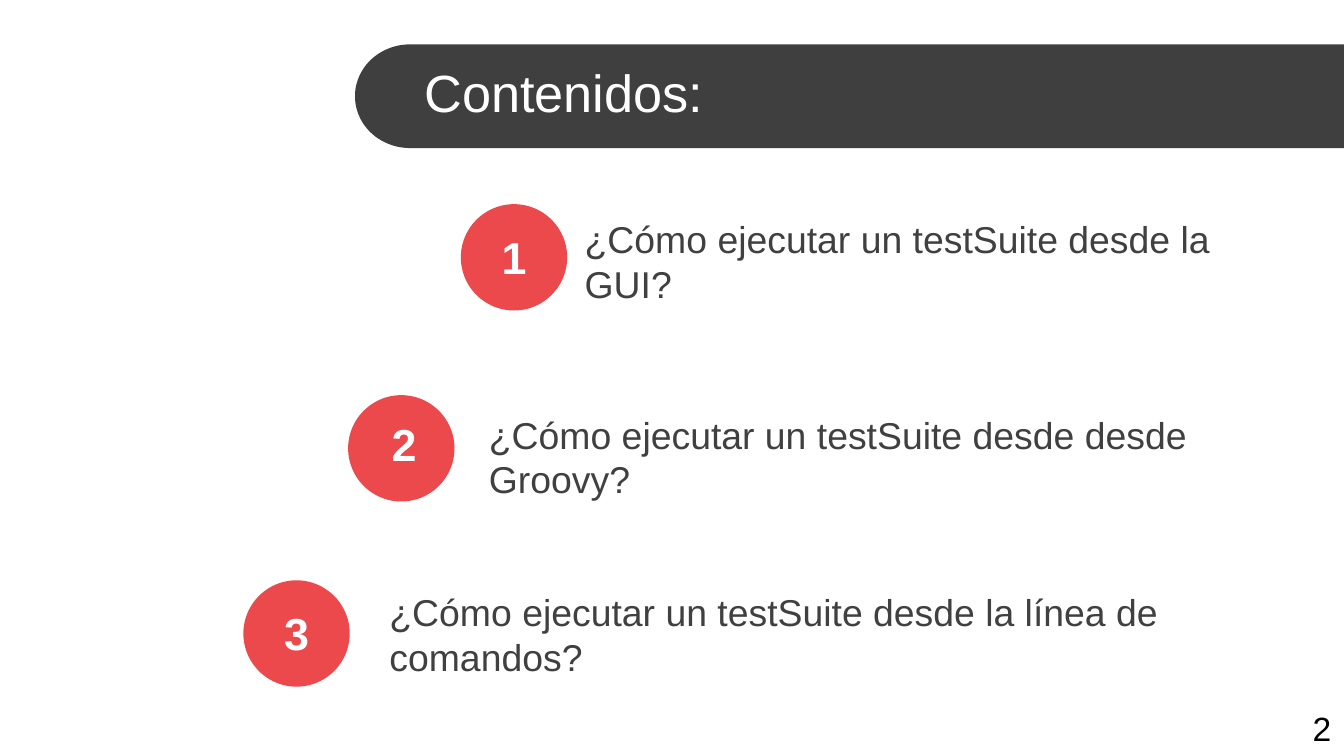
import math

from pptx import Presentation
from pptx.dml.color import RGBColor
from pptx.enum.shapes import MSO_SHAPE
from pptx.enum.text import MSO_ANCHOR, MSO_AUTO_SIZE, PP_ALIGN
from pptx.util import Cm, Pt

OVAL = MSO_SHAPE.OVAL
MIDDLE, TOP = MSO_ANCHOR.MIDDLE, MSO_ANCHOR.TOP
LEFT, CENTER = PP_ALIGN.LEFT, PP_ALIGN.CENTER
NO_AUTOFIT = MSO_AUTO_SIZE.NONE

CHARCOAL = RGBColor(0x3F, 0x3F, 0x3F)
GREY = RGBColor(0x40, 0x40, 0x40)
RED = RGBColor(0xEB, 0x49, 0x4B)
WHITE = RGBColor(0xFF, 0xFF, 0xFF)
BLACK = RGBColor(0, 0, 0)

FONT = "Arial"
SLIDE_W, SLIDE_H = 25.4, 14.29
BANNER_LEFT, BANNER_TOP, BANNER_H, CAP_W = 6.71, 0.84, 1.96, 1.04
CIRCLE = 2.01
DIGIT_H = 1.27
ARC_STEPS = 48

HEADING = "Contenidos:"
PAGE = "2"
TOPICS = [
    ("¿Cómo ejecutar un testSuite desde la GUI?",
     (8.71, 3.86), (8.71, 4.22), (10.8, 4.37, 14.12, 1.12)),
    ("¿Cómo ejecutar un testSuite desde desde Groovy?",
     (6.58, 7.47), (6.63, 7.75), (8.99, 7.65, 16, 1.96)),
    ("¿Cómo ejecutar un testSuite desde la línea de comandos?",
     (4.6, 10.97), (4.6, 11.33), (7.11, 11, 17.81, 1.96)),
]


def write(holder, text, size, color, bold=False, align=LEFT, anchor=MIDDLE, wrap=True):
    frame = holder.text_frame
    frame.text = text
    frame.word_wrap = wrap
    frame.auto_size = NO_AUTOFIT
    frame.vertical_anchor = anchor
    paragraph = frame.paragraphs[0]
    paragraph.alignment = align
    font = paragraph.runs[0].font
    font.name, font.size, font.bold = FONT, Pt(size), bold
    font.color.rgb = color


def paint(shape, color):
    shape.shadow.inherit = False
    shape.fill.solid()
    shape.fill.fore_color.rgb = color
    shape.line.fill.background()


def add_banner(shapes):
    radius = BANNER_H / 2
    angles = [math.pi * (0.5 + step / ARC_STEPS) for step in range(ARC_STEPS + 1)]
    cap = [(Cm(BANNER_LEFT + CAP_W * (1 + math.cos(a))),
            Cm(BANNER_TOP + radius * (1 + math.sin(a)))) for a in angles]
    right, bottom = Cm(SLIDE_W), Cm(BANNER_TOP + BANNER_H)
    outline = shapes.build_freeform(right, bottom)
    outline.add_line_segments(cap + [(right, Cm(BANNER_TOP))], close=True)
    banner = outline.convert_to_shape()
    paint(banner, CHARCOAL)
    return banner


def main():
    deck = Presentation()
    deck.slide_width, deck.slide_height = Cm(SLIDE_W), Cm(SLIDE_H)
    slide = deck.slides.add_slide(deck.slide_layouts[5])
    shapes = slide.shapes

    heading = shapes.title
    heading.left, heading.top = Cm(7.77), Cm(0.94)
    heading.width, heading.height = Cm(17.63), Cm(1.6)
    write(heading, HEADING, 28, WHITE)
    add_banner(shapes).element.addnext(heading.element)

    for number, (topic, circle_at, digit_at, topic_box) in enumerate(TOPICS, 1):
        circle = shapes.add_shape(OVAL, *map(Cm, (*circle_at, CIRCLE, CIRCLE)))
        paint(circle, RED)
        question = shapes.add_textbox(*map(Cm, topic_box))
        write(question, topic, 20, GREY)
        digit = shapes.add_textbox(*map(Cm, (*digit_at, CIRCLE, DIGIT_H)))
        write(digit, str(number), 24, WHITE, bold=True, align=CENTER)

    page = shapes.add_textbox(Cm(24.56), Cm(13.26), Cm(0.86), Cm(1.02))
    write(page, PAGE, 18, BLACK, anchor=TOP, wrap=False)

    deck.save("out.pptx")


if __name__ == "__main__":
    main()
